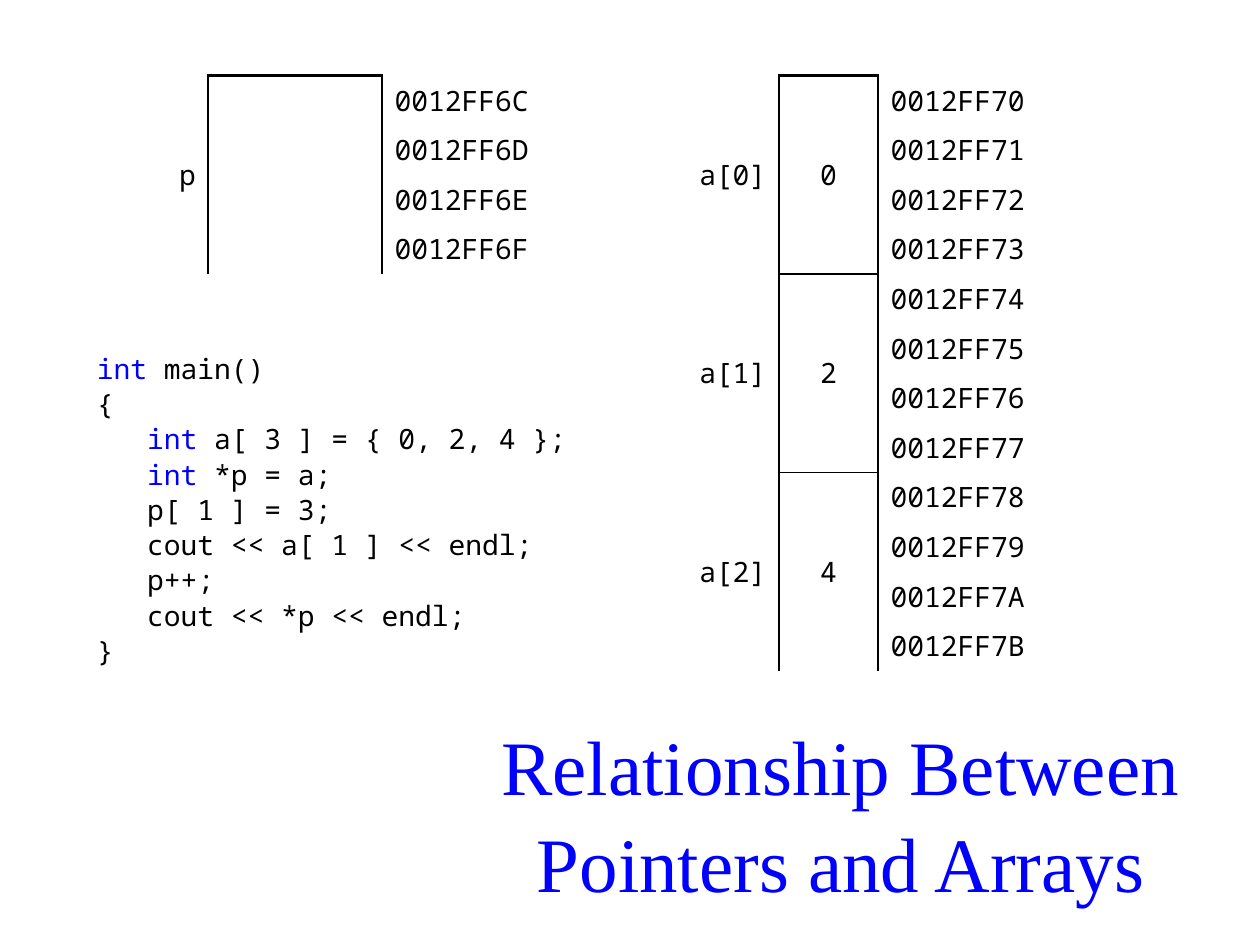
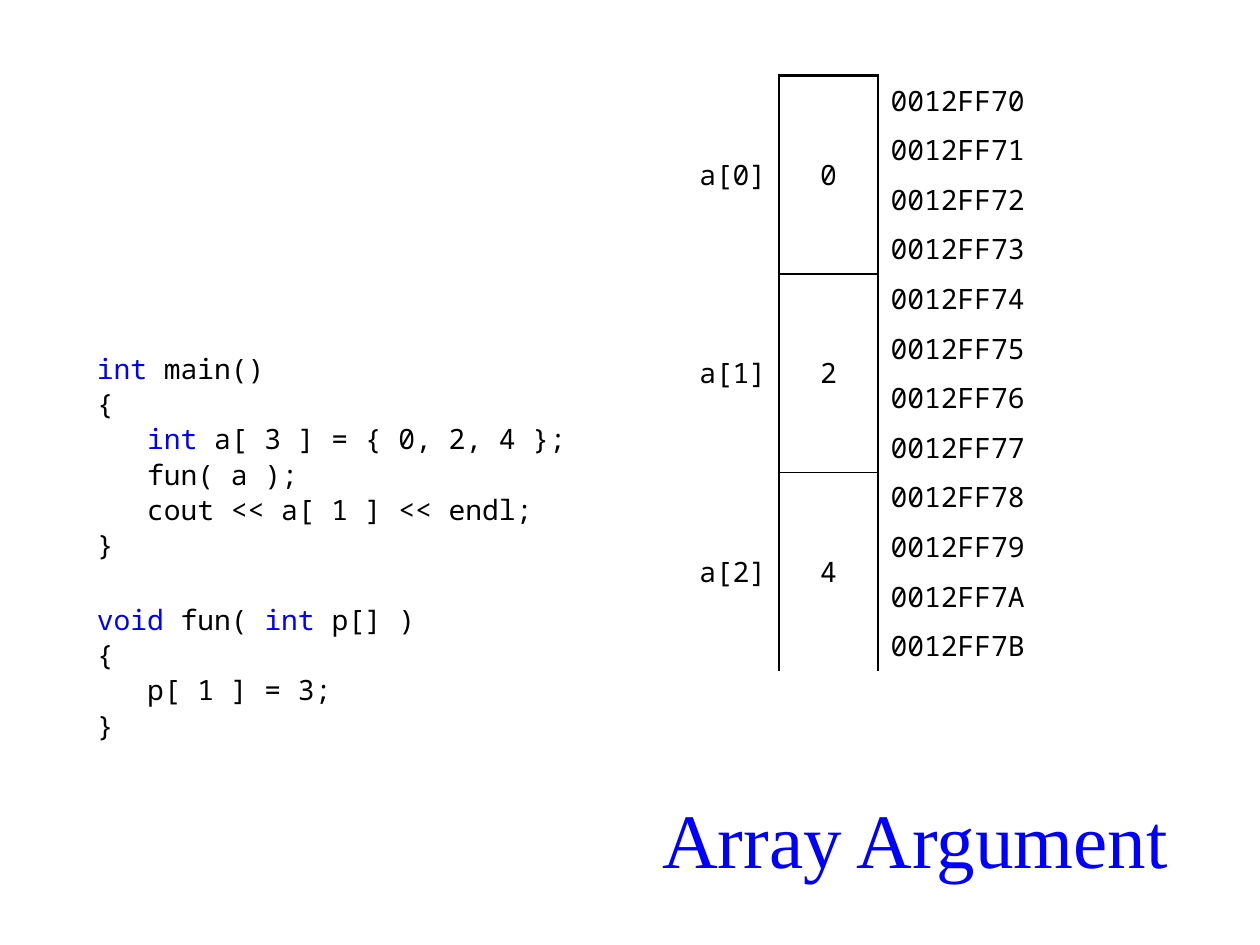
from dataclasses import dataclass
from itertools import groupby

from lxml import etree
from pptx import Presentation
from pptx.dml.color import RGBColor
from pptx.enum.text import MSO_ANCHOR, MSO_AUTO_SIZE, PP_ALIGN
from pptx.oxml.ns import qn
from pptx.util import Cm, Inches, Pt

# Shared look
BLACK = RGBColor(0x00, 0x00, 0x00)
BLUE = RGBColor(0x00, 0x00, 0xFF)
WHITE = RGBColor(0xFF, 0xFF, 0xFF)
SERIF, MONO = "Times New Roman", "Noto Sans Mono"
LEFT, CENTER, RIGHT = PP_ALIGN.LEFT, PP_ALIGN.CENTER, PP_ALIGN.RIGHT
MIDDLE = MSO_ANCHOR.MIDDLE
NO_FIT = MSO_AUTO_SIZE.NONE

# Grid: one table row is 1 cm, one byte of memory
ROW = Cm(1)
TOP = Cm(1.52)
BYTES = 4
THICK, THIN = 1.5, 1.0
SIDES = ("L", "R", "T", "B")

# Code
KEYS = ("int", "void")
CODE_GAP = Pt(2.88)
BLOCK_GAP = Pt(25.4)


@dataclass
class Memory:
    """A column of variables with the address of each byte."""
    left: float
    cols: tuple[float, float, float]
    names: tuple[str, ...]
    values: tuple[str, ...]
    start: int
    inset: int = 0  # rows left free above and below each name


@dataclass
class Page:
    title: str
    place: tuple[float, float, float]  # left, top, width in cm
    blocks: tuple[str, ...]
    tables: tuple[Memory, ...]


PAGES = (
    Page(
        "Relationship Between Pointers and Arrays",
        (9.7, 14.53, 14.5),
        ("""int main()
{
   int a[ 3 ] = { 0, 2, 4 };
   int *p = a;
   p[ 1 ] = 3;
   cout << a[ 1 ] << endl;
   p++;
   cout << *p << endl;
}""",),
        (
            Memory(13.7, (2, 2, 3.5), ("a[0]", "a[1]", "a[2]"),
                   ("0", "2", "4"), 0x12FF70, inset=1),
            Memory(3.2, (1, 3.5, 3.5), ("p",), ("",), 0x12FF6C),
        ),
    ),
    Page(
        "Array Argument",
        (12.7, 15.03, 11.5),
        ("""int main()
{
   int a[ 3 ] = { 0, 2, 4 };
   fun( a );
   cout << a[ 1 ] << endl;
}""",
         """void fun( int p[] )
{
   p[ 1 ] = 3;
}"""),
        (
            Memory(12.7, (3, 2, 4), ("a[0]", "a[1]", "a[2]"),
                   ("0", "2", "4"), 0x12FF70),
        ),
    ),
)


def style(para, face: str, size: float, color: RGBColor) -> None:
    para.font.name = face
    para.font.size = Pt(size)
    para.font.color.rgb = color


def move(shape, left: float, top: float, width: float, height: float) -> None:
    shape.left, shape.top = Cm(left), Cm(top)
    shape.width, shape.height = Cm(width), Cm(height)


def add_title(slide, page: Page) -> None:
    shape = slide.shapes.title
    move(shape, *page.place, 3.5)
    frame = shape.text_frame
    frame.text = page.title
    frame.auto_size = NO_FIT
    frame.vertical_anchor = MIDDLE
    frame.margin_top = Inches(0.1)
    para = frame.paragraphs[0]
    para.alignment = CENTER
    para.line_spacing = 1.05
    style(para, SERIF, 44, BLUE)


def add_line(para, line: str) -> None:
    """Write one line of code, with its keywords in blue."""
    props = para._p.get_or_add_pPr()
    props.set("marL", "0")
    props.set("indent", "0")
    etree.SubElement(props, qn("a:buNone"))
    para.alignment = LEFT
    para.line_spacing = 0.9
    style(para, MONO, 16, BLACK)
    groups = [(key, " ".join(words)) for key, words in
              groupby(line.split(" "), lambda word: word in KEYS)]
    for i, (key, text) in enumerate(groups):
        run = para.add_run()
        run.text = text + (" " if i < len(groups) - 1 else "")
        if key:
            run.font.color.rgb = BLUE


def add_code(slide, page: Page) -> None:
    shape = slide.placeholders[1]
    move(shape, 1.7, 7.03, 10.5, 10.5)
    frame = shape.text_frame
    frame.auto_size = NO_FIT
    frame.word_wrap = True
    para = frame.paragraphs[0]
    for b, block in enumerate(page.blocks):
        for n, line in enumerate(block.splitlines()):
            first = b == n == 0
            if not first:
                para = frame.add_paragraph()
            add_line(para, line)
            para.space_before = Pt(0) if first else CODE_GAP if n else BLOCK_GAP


def set_edges(cell, edges: dict[str, float]) -> None:
    """Draw the named sides of a cell and clear the others."""
    props = cell._tc.get_or_add_tcPr()
    for i, side in enumerate(SIDES):
        line = etree.Element(qn(f"a:ln{side}"))
        props.insert(i, line)
        if side in edges:
            line.set("w", str(Pt(edges[side])))
            fill = etree.SubElement(line, qn("a:solidFill"))
            etree.SubElement(fill, qn("a:srgbClr"), val=str(BLACK))
        else:
            etree.SubElement(line, qn("a:noFill"))


def set_text(cell, text: str, align) -> None:
    para = cell.text_frame.paragraphs[0]
    para.text = text
    para.alignment = align
    style(para, MONO, 16, BLACK)


def add_memory(slide, mem: Memory) -> None:
    count = BYTES * len(mem.names)
    table = slide.shapes.add_table(
        count, 3, Cm(mem.left), TOP, Cm(sum(mem.cols)), ROW * count).table
    table.first_row = table.horz_banding = False
    for col, width in zip(table.columns, mem.cols):
        col.width = Cm(width)

    # Cells: name, value, address
    for r in range(count):
        table.rows[r].height = ROW
        box = {"L": THICK, "R": THICK}
        if r % BYTES == 0:
            box["T"] = THIN if r else THICK
        if r % BYTES == BYTES - 1:
            box["B"] = THIN if r < count - 1 else THICK
        for c, edges in enumerate(({"R": THICK}, box, {"L": THICK})):
            cell = table.cell(r, c)
            cell.fill.background()
            cell.vertical_anchor = MIDDLE
            cell.margin_top = cell.margin_bottom = Inches(0.02)
            set_edges(cell, edges)
            set_text(cell, f"{mem.start + r:08X}" if c == 2 else "", LEFT)

    # Variables, each over four bytes
    for i, (name, value) in enumerate(zip(mem.names, mem.values)):
        top, end = BYTES * i, BYTES * i + BYTES - 1
        label = table.cell(top + mem.inset, 0)
        label.merge(table.cell(end - mem.inset, 0))
        set_text(label, name, RIGHT)
        store = table.cell(top, 1)
        store.merge(table.cell(end, 1))
        set_text(store, value, CENTER)


def main() -> None:
    deck = Presentation()
    deck.slide_width, deck.slide_height = Inches(10), Inches(7.5)
    for page in PAGES:
        slide = deck.slides.add_slide(deck.slide_layouts[1])
        slide.background.fill.solid()
        slide.background.fill.fore_color.rgb = WHITE
        add_title(slide, page)
        add_code(slide, page)
        for mem in page.tables:
            add_memory(slide, mem)
    deck.save("out.pptx")


if __name__ == "__main__":
    main()
